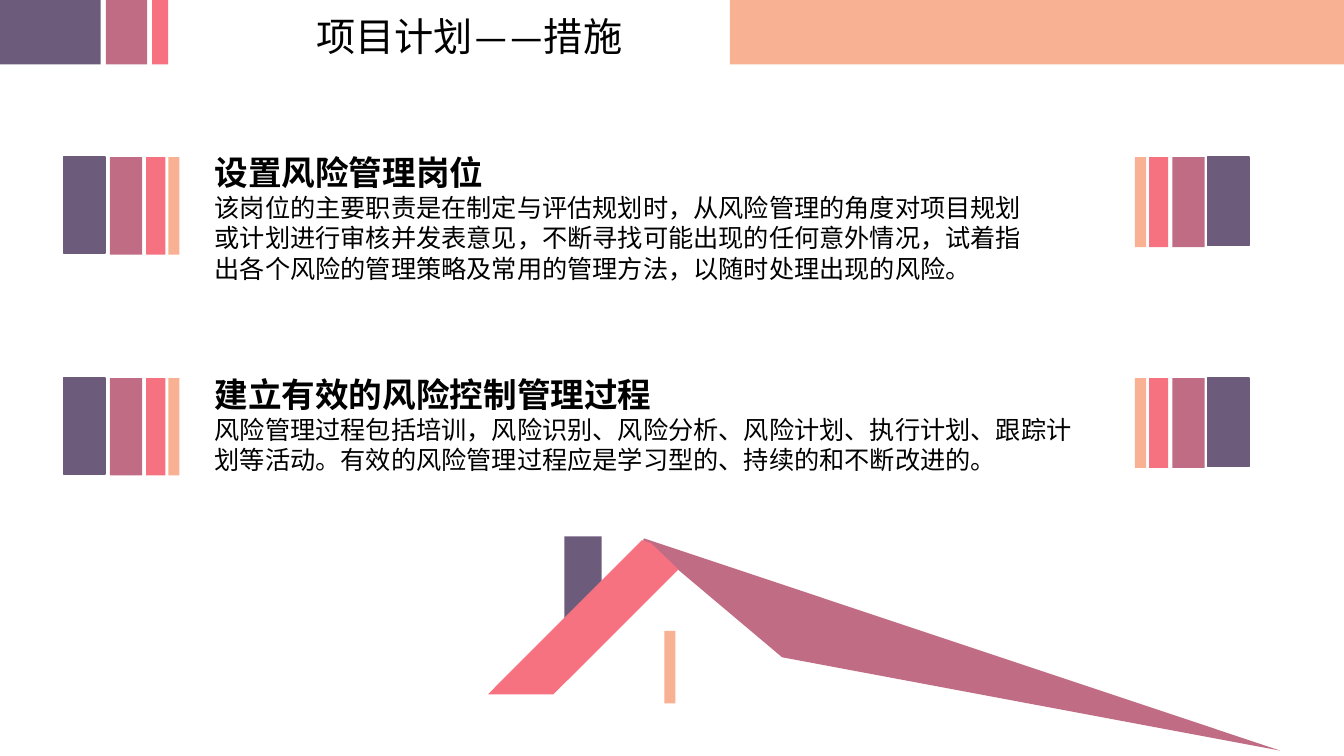
import pptx
import pptx.dml.color
import pptx.enum.lang
import pptx.enum.shapes
import pptx.enum.text
import pptx.oxml
import pptx.oxml.ns
import pptx.util

Pt = pptx.util.Pt

PURPLE, ROSE, PINK, PEACH = "6C5B7B", "C06C84", "F67280", "F8B193"
BLACK = "000000"
HEADING_FONT, BODY_FONT = "Noto Sans CJK SC", "Calibri"

# Colour, x in the left bundle, x in the right bundle, width
STRIPES = [
    (PURPLE, 45.4, 862.6, 29.5),
    (PEACH, 120.2, 810.7, 7.9),
    (PINK, 104.4, 820.8, 13.7),
    (ROSE, 78.5, 837.4, 23),
]

# Stripe top, text top, text height, heading, body paragraphs
MEASURES = [
    (112.3, 105.1, 135.4, "设置风险管理岗位", [
        "该岗位的主要职责是在制定与评估规划时，从风险管理的角度对项目规划",
        "或计划进行审核并发表意见，不断寻找可能出现的任何意外情况，试着指",
        "出各个风险的管理策略及常用的管理方法，以随时处理出现的风险。",
    ]),
    (270, 263.5, 79.9, "建立有效的风险控制管理过程", [
        "风险管理过程包括培训，风险识别、风险分析、风险计划、执行计划、跟踪计"
        "划等活动。有效的风险管理过程应是学习型的、持续的和不断改进的。",
    ]),
]


def colour(value):
    return pptx.dml.color.RGBColor.from_string(value)


class SlideBuilder:
    """Holds the current page and the style of its elements."""

    def __init__(self, page):
        self.page = page

    def group(self):
        return self.page.shapes.add_group_shape().shapes

    def paint(self, shape, fill, outlined=False):
        shape.shadow.inherit = False
        shape.fill.solid()
        shape.fill.fore_color.rgb = colour(fill)
        if outlined:
            shape.line.color.rgb = colour(fill)
            shape.line.width = Pt(1)
        else:
            shape.line.fill.background()

    def bar(self, shapes, fill, left, top, width, height, outlined=False):
        box = shapes.add_shape(
            pptx.enum.shapes.MSO_SHAPE.RECTANGLE,
            Pt(left), Pt(top), Pt(width), Pt(height))
        self.paint(box, fill, outlined)

    def polygon(self, shapes, fill, points):
        corners = [(Pt(x), Pt(y)) for x, y in points]
        outline = shapes.build_freeform(*corners[0])
        outline.add_line_segments(corners[1:], close=True)
        self.paint(outline.convert_to_shape(), fill)

    def format_paragraph(self, para, size, name, bold=False):
        para.alignment = pptx.enum.text.PP_ALIGN.LEFT
        font = para.font
        font.size, font.name, font.bold = Pt(size), name, bold
        font.color.rgb = colour(BLACK)
        font.language_id = pptx.enum.lang.MSO_LANGUAGE_ID.SIMPLIFIED_CHINESE
        # East Asian text keeps the line height of the body font
        east_asian = pptx.oxml.parse_xml(
            f'<a:ea {pptx.oxml.ns.nsdecls("a")} typeface="{BODY_FONT}"/>')
        para._p.pPr.find(pptx.oxml.ns.qn("a:defRPr")).append(east_asian)

    def place_text(self, box, left, top, width, height, wrap):
        box.left, box.top = Pt(left), Pt(top)
        box.width, box.height = Pt(width), Pt(height)
        frame = box.text_frame
        frame.word_wrap = wrap
        frame.auto_size = pptx.enum.text.MSO_AUTO_SIZE.SHAPE_TO_FIT_TEXT
        frame.vertical_anchor = pptx.enum.text.MSO_ANCHOR.TOP
        return frame

    def title(self, text, left, top, width, height):
        frame = self.place_text(
            self.page.shapes.title, left, top, width, height, wrap=False)
        frame.text = text
        self.format_paragraph(frame.paragraphs[0], 28, HEADING_FONT)

    def text_block(self, heading, lines, left, top, width, height):
        box = self.page.shapes.add_textbox(0, 0, 0, 0)
        frame = self.place_text(box, left, top, width, height, wrap=True)
        frame.text = "\n".join([heading, *lines])
        self.format_paragraph(frame.paragraphs[0], 24, HEADING_FONT, bold=True)
        for para in frame.paragraphs[1:]:
            self.format_paragraph(para, 18, BODY_FONT)

    def stripe_bundle(self, side, top, height):
        """Draw four stripes; side 0 is left and side 1 is right."""
        shapes = self.group()
        for fill, *lefts, width in STRIPES:
            outlined = fill == PURPLE
            self.bar(shapes, fill, lefts[side], top, width,
                     height - outlined, outlined)


def main():
    deck = pptx.Presentation()
    deck.slide_width, deck.slide_height = Pt(960), Pt(540)
    page = deck.slides.add_slide(deck.slide_layouts.get_by_name("Title Only"))
    builder = SlideBuilder(page)

    # Header band and title
    for fill, left, width in [(PEACH, 521.3, 438.7), (PURPLE, 0, 72),
                              (ROSE, 75.6, 29.5), (PINK, 108.7, 11.5)]:
        builder.bar(page.shapes, fill, left, 0, width, 46)
    builder.title("项目计划——措施", 218.9, 5, 240.5, 41)

    # Measures between their stripe bundles
    for stripe_top, text_top, text_height, heading, lines in MEASURES:
        builder.stripe_bundle(0, stripe_top, 69.6)
        builder.stripe_bundle(1, stripe_top, 64.2)
        builder.text_block(heading, lines, 146.2, text_top, 627.1, text_height)

    # House: chimney, right roof, left roof, door
    house = builder.group()
    builder.bar(house, PURPLE, 403.2, 383.2, 26.6, 65.5)
    builder.polygon(house, ROSE, [(460.1, 384.6), (914.6, 536.2),
                                  (558.7, 469.5), (459.4, 385.9)])
    builder.polygon(house, PINK, [(458.6, 385.9), (465.1, 388.1),
                                  (484.6, 406.8), (395.3, 496),
                                  (348.5, 496)])
    builder.bar(house, PEACH, 474.5, 450.6, 7.9, 51.8)

    deck.save("out.pptx")


if __name__ == "__main__":
    main()
